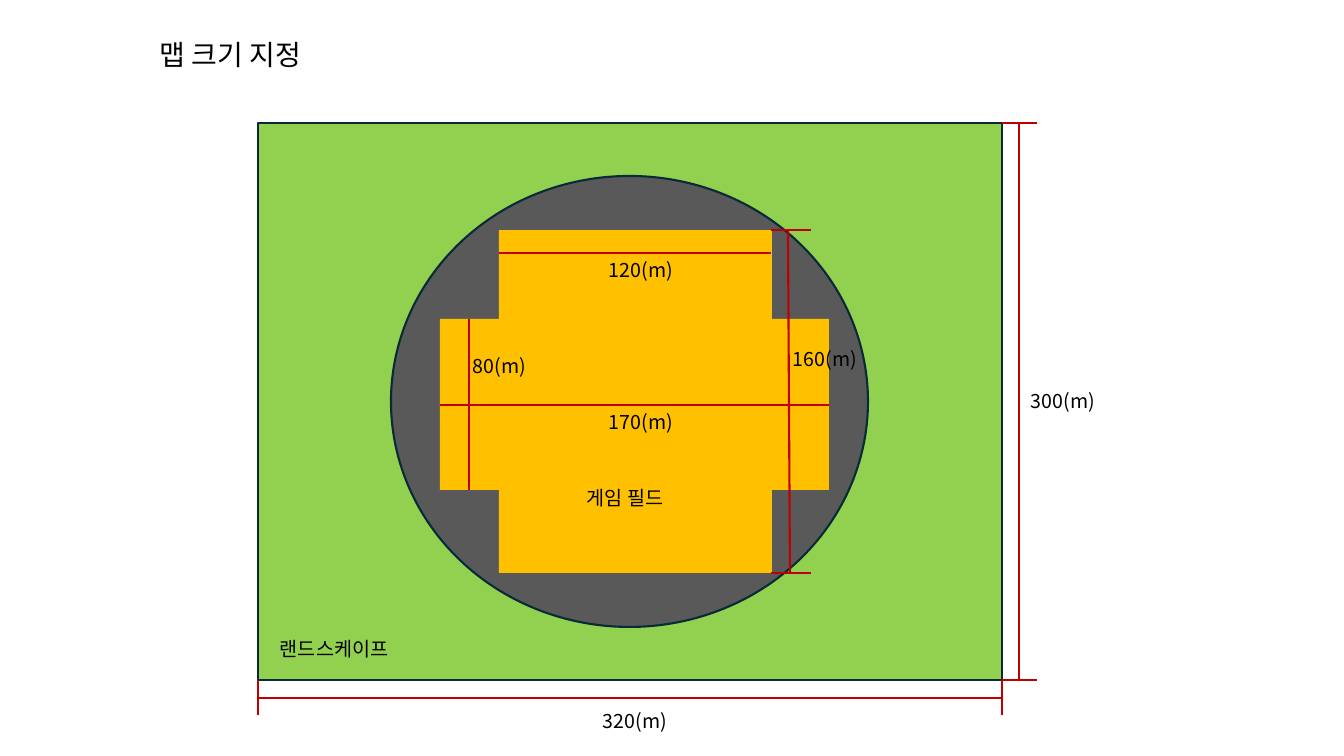
from dataclasses import dataclass

from lxml import etree
from pptx import Presentation
from pptx import util as u
from pptx.dml.color import RGBColor
from pptx.enum import shapes, text
from pptx.oxml.ns import qn

EMU_PER_PX = 914400 / 100.8
FONT = "Noto Sans CJK KR"
OUTLINE = "092A39"
DIMENSION_RED = "C00000"
FIELD_YELLOW = "FFC000"
LINE_WIDTH = u.Pt(1.5)


@dataclass(frozen=True)
class Area:
    kind: shapes.MSO_SHAPE
    left: int
    top: int
    width: int
    height: int
    fill: str
    outlined: bool = False


@dataclass(frozen=True)
class Line:
    x1: int
    y1: int
    x2: int
    y2: int


@dataclass(frozen=True)
class Label:
    words: str
    left: int
    top: int
    width: int = 85


AREAS = [
    Area(shapes.MSO_SHAPE.RECTANGLE, 258, 123, 744, 557, "92D050", True),
    Area(shapes.MSO_SHAPE.OVAL, 391, 176, 477, 451, "595959", True),
    Area(shapes.MSO_SHAPE.RECTANGLE, 499, 230, 273, 343, FIELD_YELLOW),
    Area(shapes.MSO_SHAPE.RECTANGLE, 440, 319, 389, 171, FIELD_YELLOW),
]

MAP_DIMENSIONS = [
    Line(258, 698, 1002, 698),
    *(Line(x, 680, x, 715) for x in (258, 1002)),
    Line(1019, 123, 1019, 680),
    *(Line(1037, y, 1002, y) for y in (123, 680)),
]

FIELD_DIMENSIONS = [
    *(Line(811, y, 771, y) for y in (230, 573)),
    Line(788, 230, 790, 573),
    Line(829, 405, 440, 405),
    Line(771, 253, 499, 253),
    Line(469, 490, 469, 319),
]

LABELS = [
    Label("320(m)", 593, 704),
    Label("300(m)", 1021, 384),
    Label("170(m)", 599, 405),
    Label("160(m)", 783, 342),
    Label("120(m)", 599, 253),
    Label("80(m)", 463, 349),
    Label("랜드스케이프", 270, 632, 154),
    Label("게임 필드", 577, 481, 117),
]


def px(length: int) -> u.Emu:
    return u.Emu(round(length * EMU_PER_PX))


def color(value: str) -> RGBColor:
    return RGBColor.from_string(value)


def write(shape, words: str, *, size: int = 14, align=text.PP_ALIGN.LEFT,
          anchor=text.MSO_ANCHOR.TOP, fit=text.MSO_AUTO_SIZE.SHAPE_TO_FIT_TEXT,
          spacing: float = 1.0) -> None:
    frame = shape.text_frame
    frame.word_wrap = True
    frame.auto_size = fit
    frame.vertical_anchor = anchor
    paragraph = frame.paragraphs[0]
    paragraph.alignment = align
    paragraph.line_spacing = spacing
    run = paragraph.add_run()
    run.text = words
    run.font.size = u.Pt(size)
    run.font.name = FONT
    run.font.color.rgb = color("000000")
    east_asian = etree.SubElement(run.font._element, qn("a:ea"))
    east_asian.set("typeface", FONT)


def draw_area(slide, area: Area) -> None:
    shape = slide.shapes.add_shape(
        area.kind, px(area.left), px(area.top), px(area.width), px(area.height))
    shape.shadow.inherit = False
    shape.fill.solid()
    shape.fill.fore_color.rgb = color(area.fill)
    if area.outlined:
        shape.line.color.rgb = color(OUTLINE)
        shape.line.width = LINE_WIDTH
    else:
        shape.line.fill.background()


def draw_line(slide, line: Line) -> None:
    connector = slide.shapes.add_connector(
        shapes.MSO_CONNECTOR.STRAIGHT,
        px(line.x1), px(line.y1), px(line.x2), px(line.y2))
    connector.line.color.rgb = color(DIMENSION_RED)
    connector.line.width = LINE_WIDTH
    etree.SubElement(connector._element.spPr, qn("a:effectLst"))


def draw_label(slide, label: Label) -> None:
    box = slide.shapes.add_textbox(
        px(label.left), px(label.top), px(label.width), px(31))
    write(box, label.words)


def draw_title(slide, words: str) -> None:
    title = slide.shapes.title
    title.left, title.top = px(58), px(35)
    title.width, title.height = px(345), px(42)
    write(title, words, size=20, align=text.PP_ALIGN.CENTER,
          anchor=text.MSO_ANCHOR.BOTTOM, fit=text.MSO_AUTO_SIZE.NONE, spacing=0.9)


def main() -> None:
    presentation = Presentation()
    presentation.slide_width = px(1344)
    presentation.slide_height = px(756)
    slide = presentation.slides.add_slide(presentation.slide_layouts[5])
    draw_title(slide, "맵 크기 지정")
    for area in AREAS:
        draw_area(slide, area)
    for line in MAP_DIMENSIONS + FIELD_DIMENSIONS:
        draw_line(slide, line)
    for label in LABELS:
        draw_label(slide, label)
    presentation.save("out.pptx")


if __name__ == "__main__":
    main()
